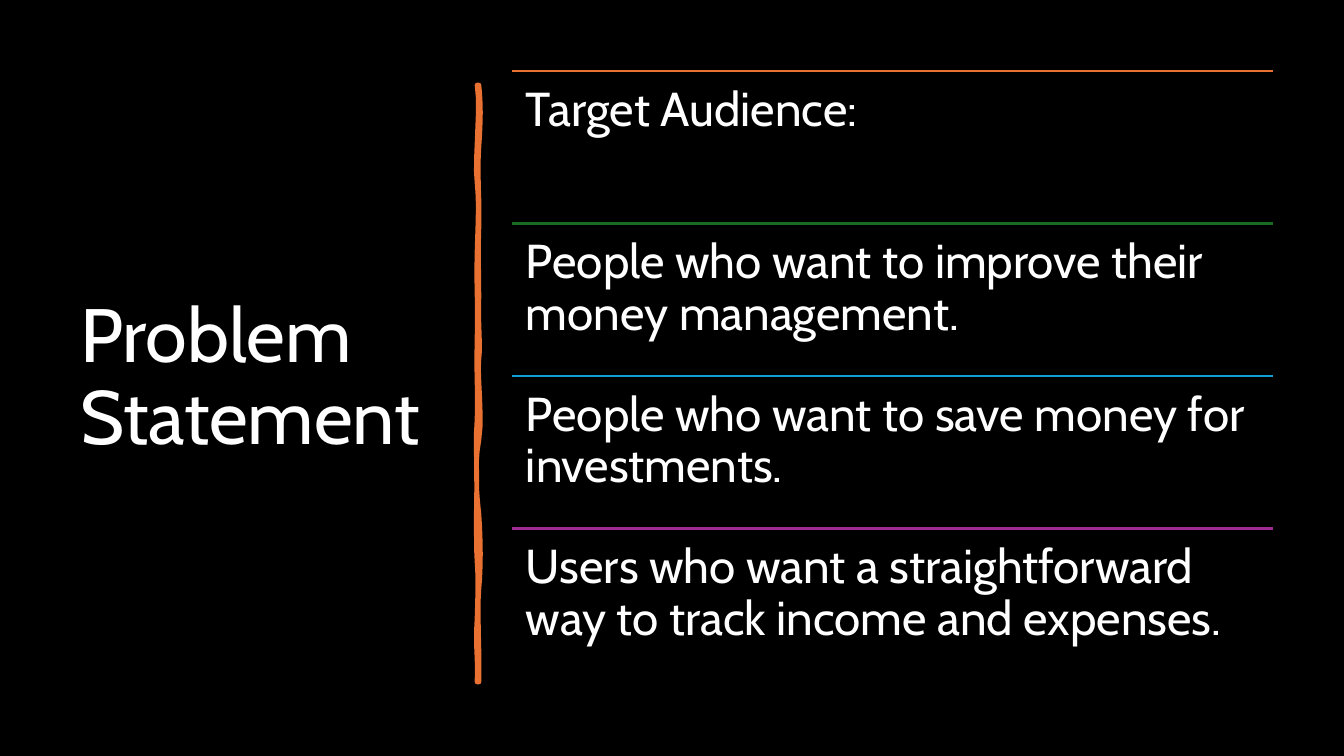
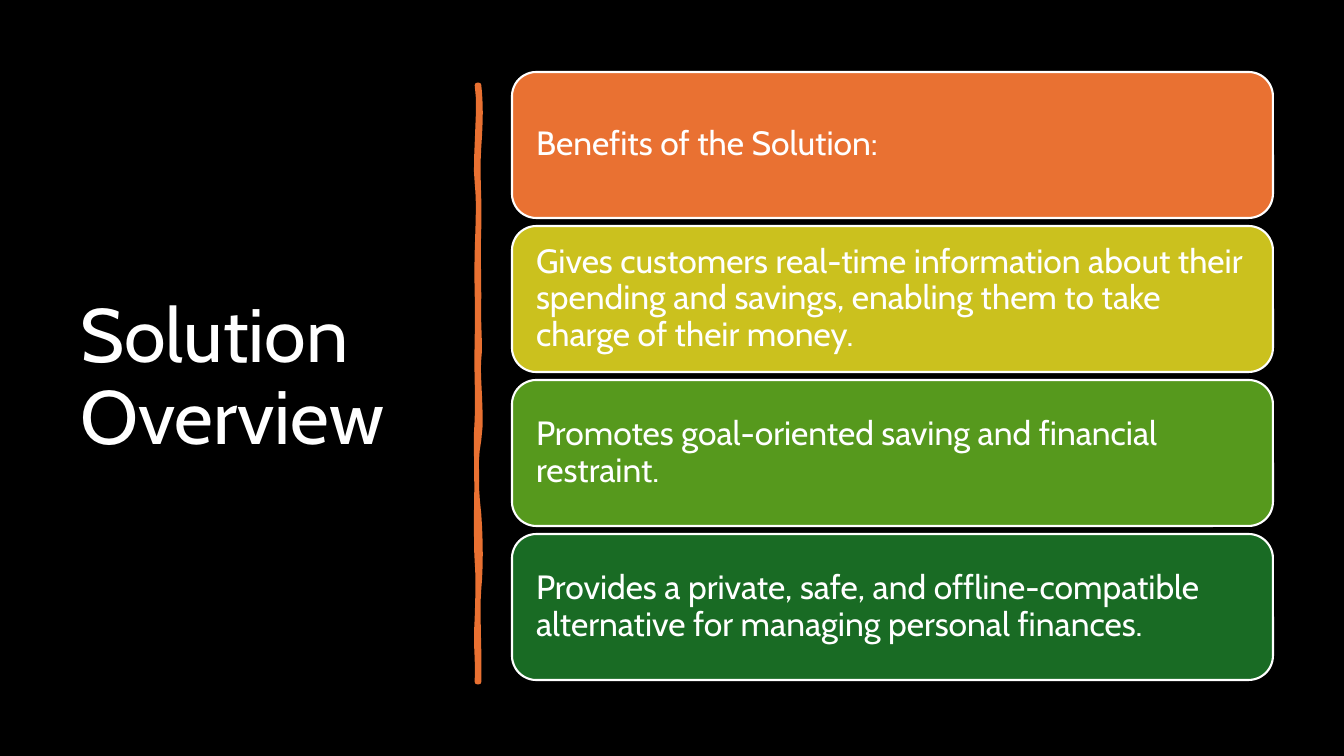
from lxml.etree import SubElement
from pptx import Presentation
from pptx.dml.color import RGBColor
from pptx.enum.shapes import MSO_CONNECTOR, MSO_SHAPE
from pptx.enum.text import MSO_ANCHOR as Anchor, MSO_AUTO_SIZE, PP_ALIGN
from pptx.oxml.ns import qn
from pptx.util import Pt

EMU_PER_PX = 914400 / 100.8
FONT = "Cabin"
BLACK = RGBColor(0x00, 0x00, 0x00)
WHITE = RGBColor(0xFF, 0xFF, 0xFF)
ORANGE = RGBColor(0xE9, 0x71, 0x32)
YELLOW = RGBColor(0xCB, 0xC1, 0x1E)
LIME = RGBColor(0x56, 0x99, 0x1D)
GREEN = RGBColor(0x19, 0x6B, 0x24)
BLUE = RGBColor(0x0F, 0x9E, 0xD5)
PURPLE = RGBColor(0xA0, 0x2B, 0x93)

SLIDE_SIZE = (1344, 756)
TITLE_BOX = (70, 71, 377, 616)
DIVIDER_ORIGIN = (471, 85)
RULES_BOX = (512, 71, 761, 610)
CARDS_BOX = (512, 72, 761, 608)
CARD_GAP = 8

RIGHT_EDGE = [
    (8, 0), (10, 18), (10, 35), (8, 62), (6, 90), (9, 112), (8, 143),
    (7, 174), (8, 179), (8, 212), (7, 243), (10, 260), (8, 274),
    (6, 288), (12, 333), (8, 355), (4, 376), (5, 403), (8, 429),
    (10, 456), (10, 484), (8, 504), (6, 523), (9, 570), (8, 597),
]
LEFT_EDGE = [
    (6, 597), (7, 566), (4, 564), (6, 533), (7, 503), (7, 490), (6, 477),
    (5, 464), (5, 414), (6, 396), (6, 378), (4, 364), (6, 334),
    (7, 304), (5, 291), (6, 253), (7, 216), (5, 199), (6, 167),
    (7, 135), (8, 117), (6, 98), (3, 80), (10, 20), (6, 0),
]

AUDIENCE = [
    ("Target Audience:", ORANGE),
    ("People who want to improve their money management.", GREEN),
    ("People who want to save money for investments.", BLUE),
    ("Users who want a straightforward way to track income and expenses.", PURPLE),
]
BENEFITS = [
    ("Benefits of the Solution:", ORANGE),
    ("Gives customers real-time information about their spending and savings, "
     "enabling them to take charge of their money.", YELLOW),
    ("Promotes goal-oriented saving and financial restraint.", LIME),
    ("Provides a private, safe, and offline-compatible alternative for "
     "managing personal finances.", GREEN),
]


def px(length):
    return round(length * EMU_PER_PX)


def px_all(lengths):
    return [px(length) for length in lengths]


def write_text(holder, text, size, anchor=Anchor.TOP, inset=10, color=WHITE):
    frame = holder.text_frame
    frame.text = text
    frame.word_wrap = True
    frame.auto_size = MSO_AUTO_SIZE.NONE
    frame.vertical_anchor = anchor
    frame.margin_left = frame.margin_right = px(inset)
    frame.margin_top = frame.margin_bottom = px(inset)
    paragraph = frame.paragraphs[0]
    paragraph.alignment = PP_ALIGN.LEFT
    paragraph.line_spacing = 0.9
    font = paragraph.runs[0].font
    font.name = FONT
    font.size = Pt(size)
    font.color.rgb = color


def curve_points(edge, steps=6):
    points = [edge[0]]
    for start in range(0, len(edge) - 1, 3):
        a, b, c, d = edge[start:start + 4]
        for step in range(1, steps + 1):
            t = step / steps
            u = 1 - t
            points.append(tuple(
                u**3 * a[k] + 3 * u * u * t * b[k] + 3 * u * t * t * c[k] + t**3 * d[k]
                for k in (0, 1)))
    return points


def add_divider(slide, origin):
    left, top = origin
    outline = [(px(left + x), px(top + y))
               for x, y in curve_points(RIGHT_EDGE) + curve_points(LEFT_EDGE)]
    builder = slide.shapes.build_freeform(*outline[0])
    builder.add_line_segments(outline[1:], close=True)
    divider = builder.convert_to_shape()
    divider.shadow.inherit = False
    divider.fill.solid()
    divider.fill.fore_color.rgb = ORANGE
    divider.line.color.rgb = ORANGE
    divider.line.width = Pt(3.25)


def add_ruled_rows(slide, box, rows):
    left, top, width, height = box
    row_height = height / len(rows)
    for index, (text, color) in enumerate(rows):
        row_top = top + index * row_height
        rule = slide.shapes.add_connector(
            MSO_CONNECTOR.STRAIGHT,
            *px_all((left, row_top, left + width, row_top)))
        rule.line.color.rgb = color
        rule.line.width = Pt(1.5)
        SubElement(rule._element.spPr, qn("a:effectLst"))
        row = slide.shapes.add_textbox(*px_all((left, row_top, width, row_height)))
        write_text(row, text, 34, inset=14)


def add_cards(slide, box, cards):
    left, top, width, height = box
    card_height = (height - CARD_GAP * (len(cards) - 1)) / len(cards)
    for index, (text, color) in enumerate(cards):
        card_top = top + index * (card_height + CARD_GAP)
        card = slide.shapes.add_shape(
            MSO_SHAPE.ROUNDED_RECTANGLE,
            *px_all((left, card_top, width, card_height)))
        card.shadow.inherit = False
        card.fill.solid()
        card.fill.fore_color.rgb = color
        card.line.color.rgb = WHITE
        card.line.width = Pt(1.5)
        write_text(card, text, 24, anchor=Anchor.MIDDLE, inset=17)


def add_titled_slide(deck, heading):
    slide = deck.slides.add_slide(deck.slide_layouts[5])
    title = slide.shapes.title
    title.left, title.top, title.width, title.height = px_all(TITLE_BOX)
    write_text(title, heading, 54, anchor=Anchor.MIDDLE)
    add_divider(slide, DIVIDER_ORIGIN)
    return slide


def main():
    deck = Presentation()
    deck.slide_width, deck.slide_height = px_all(SLIDE_SIZE)
    backdrop = deck.slide_master.background.fill
    backdrop.solid()
    backdrop.fore_color.rgb = BLACK

    add_ruled_rows(add_titled_slide(deck, "Problem Statement"), RULES_BOX, AUDIENCE)
    add_cards(add_titled_slide(deck, "Solution Overview"), CARDS_BOX, BENEFITS)
    deck.save("out.pptx")


if __name__ == "__main__":
    main()
